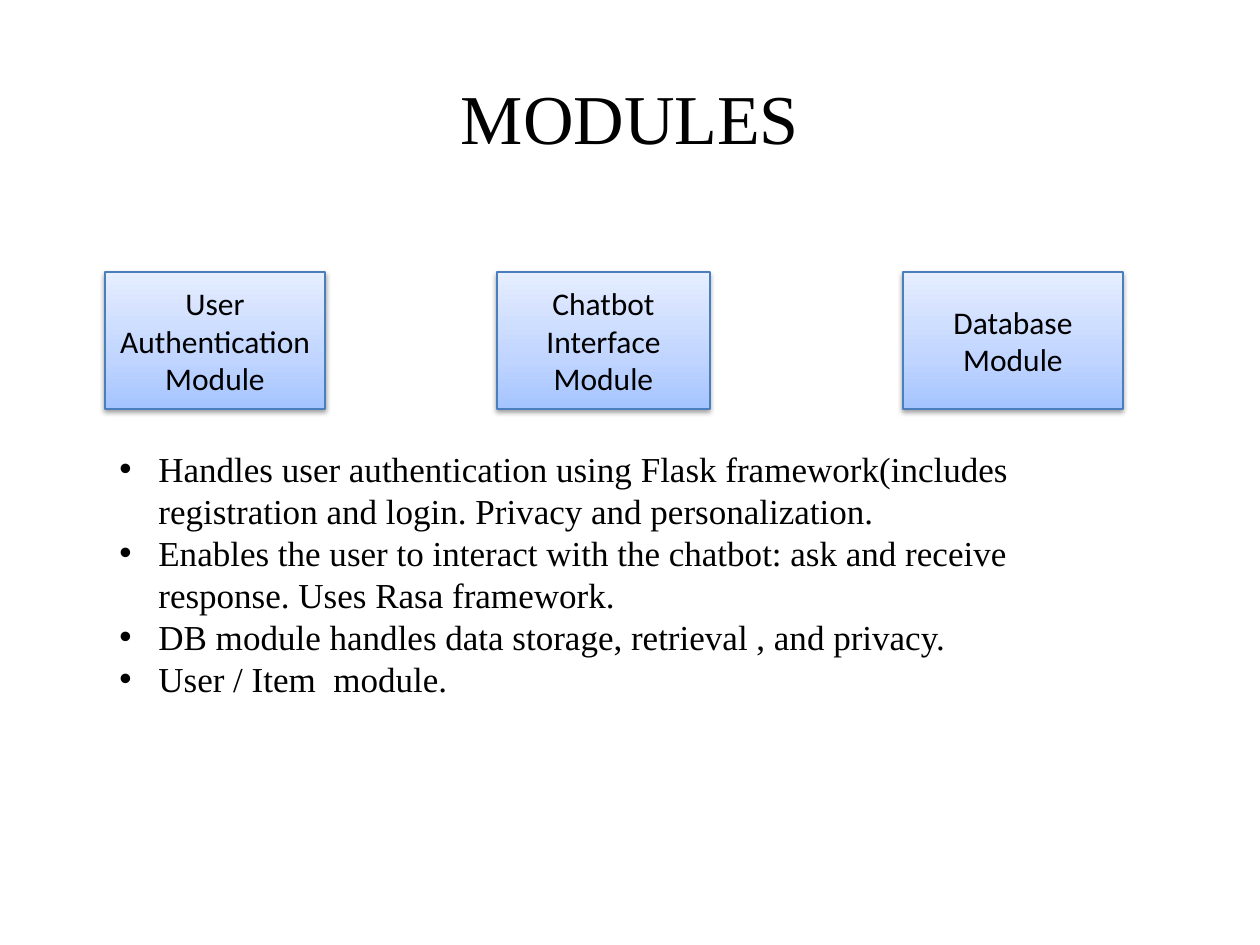
from lxml import etree
from pptx import Presentation, util as u
from pptx.dml.color import RGBColor
from pptx.enum import shapes, text
from pptx.oxml.ns import qn

TITLE = "MODULES"
MODULES = [  # label, left, width
    ("User Authentication Module", 105, 220),
    ("Chatbot Interface Module", 497, 213),
    ("Database Module", 903, 220),
]
DETAILS = [
    "Handles user authentication using Flask framework(includes registration and login. "
    "Privacy and personalization.",
    "Enables the user to interact with the chatbot: ask and receive response. "
    "Uses Rasa framework.",
    "DB module handles data storage, retrieval , and privacy.",
    "User / Item  module.",
]

BLACK = RGBColor(0, 0, 0)
BORDER = RGBColor(0x4B, 0x7E, 0xBC)
GRADIENT = [  # percent from the bottom edge, colour
    (0, RGBColor(0xA4, 0xC4, 0xFF)),
    (35, RGBColor(0xBF, 0xD4, 0xFF)),
    (100, RGBColor(0xE6, 0xEE, 0xFF)),
]
SERIF, SANS = "Times New Roman", "Calibri"
MODULE_TOP, MODULE_HEIGHT = 272, 137
BULLET_INDENT = 39


def px(n):
    return u.Emu(round(n * 914400 / 126))


def add_child(parent, tag, **attributes):
    child = etree.SubElement(parent, qn(tag))
    for name, value in attributes.items():
        child.set(name, str(value))
    return child


def style(paragraph, size, font):
    paragraph.font.size = u.Pt(size)
    paragraph.font.name = font
    paragraph.font.color.rgb = BLACK


def add_text_frame(slide, left, top, width, height):
    frame = slide.shapes.add_textbox(px(left), px(top), px(width), px(height)).text_frame
    frame.word_wrap = True
    return frame


def fill_gradient(shape):
    shape.fill.gradient()
    shape.fill.gradient_angle = 90
    stops = shape._element.spPr.find(".//" + qn("a:gsLst"))
    for stop in list(stops):
        stops.remove(stop)
    for percent, colour in GRADIENT:
        stop = add_child(stops, "a:gs", pos=percent * 1000)
        add_child(stop, "a:srgbClr", val=colour)


def cast_shadow(shape):
    shape.shadow.inherit = False
    effects = shape._element.spPr.find(qn("a:effectLst"))
    shadow = add_child(effects, "a:outerShdw", blurRad=u.Pt(3.1), dist=u.Pt(1.6),
                       dir=90 * 60000, rotWithShape=0)
    colour = add_child(shadow, "a:srgbClr", val=BLACK)
    add_child(colour, "a:alpha", val=38000)


def add_title(slide):
    frame = add_text_frame(slide, 63, 38, 1134, 157)
    frame.vertical_anchor = text.MSO_ANCHOR.MIDDLE
    heading = frame.paragraphs[0]
    heading.text = TITLE
    heading.alignment = text.PP_ALIGN.CENTER
    style(heading, 40, SERIF)


def add_module(slide, label, left, width):
    module = slide.shapes.add_shape(shapes.MSO_SHAPE.RECTANGLE, px(left), px(MODULE_TOP),
                                    px(width), px(MODULE_HEIGHT))
    fill_gradient(module)
    module.line.color.rgb = BORDER
    module.line.width = u.Pt(0.75)
    cast_shadow(module)
    frame = module.text_frame
    frame.word_wrap = True
    frame.vertical_anchor = text.MSO_ANCHOR.MIDDLE
    caption = frame.paragraphs[0]
    caption.text = label
    caption.alignment = text.PP_ALIGN.CENTER
    style(caption, 18, SANS)


def add_details(slide):
    frame = add_text_frame(slide, 107, 441, 1008, 267)
    frame.auto_size = text.MSO_AUTO_SIZE.SHAPE_TO_FIT_TEXT
    for i, detail in enumerate(DETAILS):
        item = frame.add_paragraph() if i else frame.paragraphs[0]
        item.text = detail
        style(item, 20, SERIF)
        properties = item._p.get_or_add_pPr()
        properties.set("marL", str(px(BULLET_INDENT)))
        properties.set("indent", str(-px(BULLET_INDENT)))
        bullet_font = etree.Element(qn("a:buFont"), typeface="Arial")
        bullet = etree.Element(qn("a:buChar"), char="•")
        properties.insert(0, bullet_font)
        properties.insert(1, bullet)


def main():
    deck = Presentation()
    deck.slide_width, deck.slide_height = px(1260), px(945)
    slide = deck.slides.add_slide(deck.slide_layouts[6])
    add_title(slide)
    for label, left, width in MODULES:
        add_module(slide, label, left, width)
    add_details(slide)
    deck.save("out.pptx")


if __name__ == "__main__":
    main()
